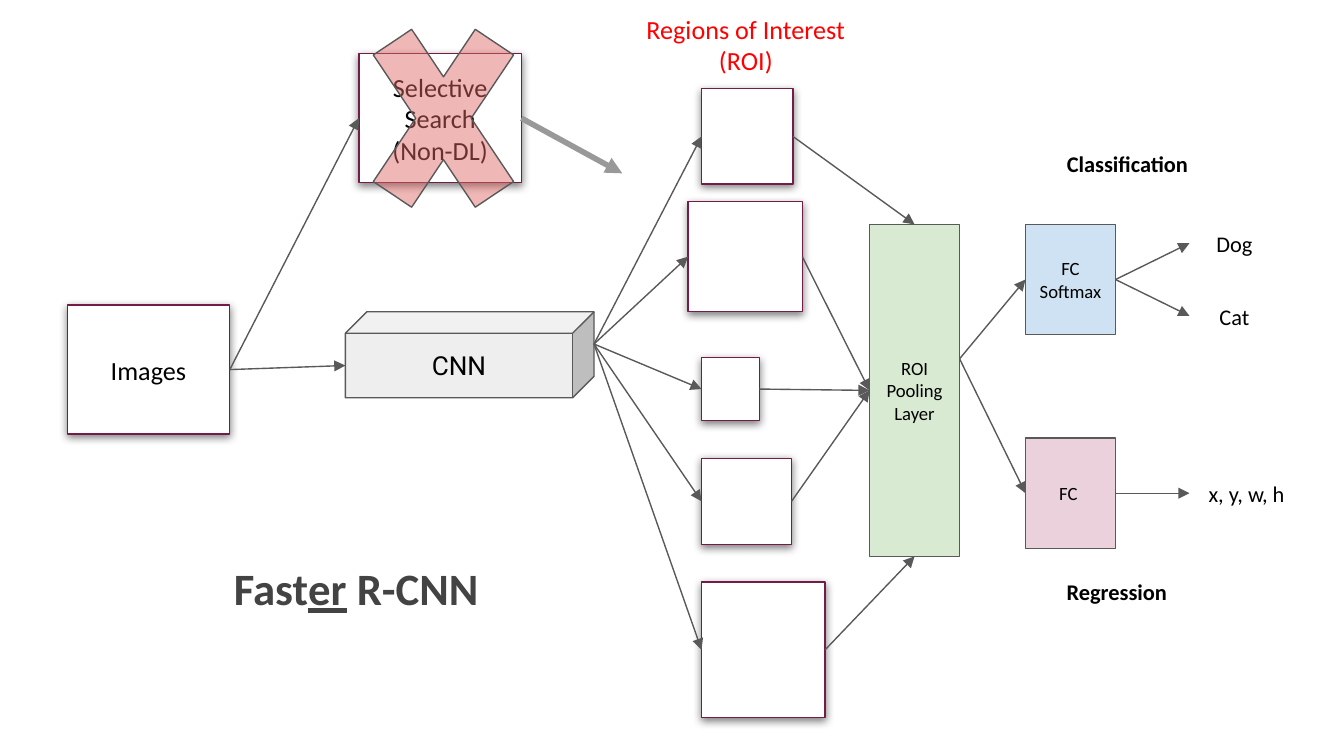
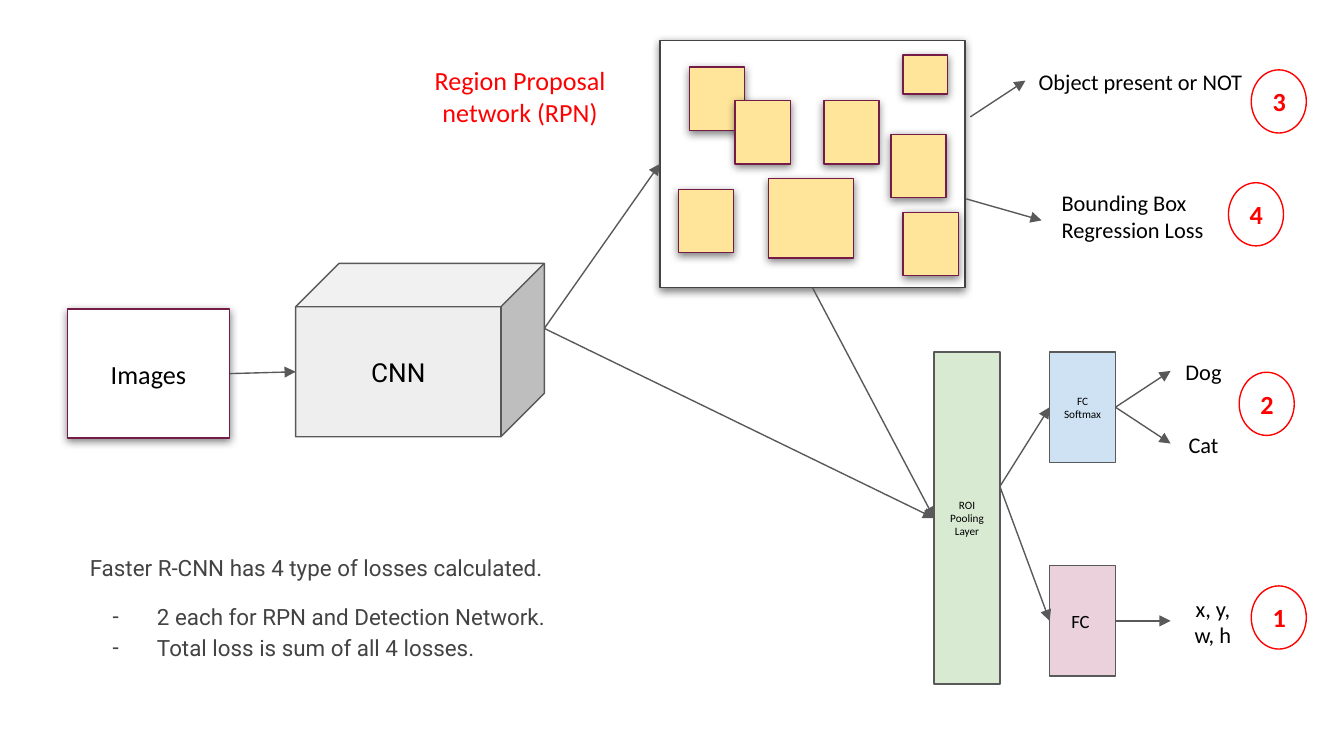
from dataclasses import dataclass, replace
from typing import Optional

from lxml.etree import SubElement as Sub
from pptx import Presentation
from pptx.dml.color import RGBColor as Rgb
from pptx.enum.shapes import MSO_CONNECTOR as Link, MSO_SHAPE as Kind
from pptx.enum.text import MSO_ANCHOR as Anchor, PP_ALIGN as Align
from pptx.oxml.ns import qn
from pptx.shapes.autoshape import Shape
from pptx.slide import Slide
from pptx.text.text import TextFrame, _Paragraph as Para
from pptx.util import Inches, Pt

WHITE = Rgb(0xFF, 0xFF, 0xFF)
BLACK = Rgb(0x00, 0x00, 0x00)
RED = Rgb(0xFF, 0x00, 0x00)
DARK = Rgb(0x43, 0x43, 0x43)
GREY = Rgb(0x59, 0x59, 0x59)
MID = Rgb(0x99, 0x99, 0x99)
PALE = Rgb(0xEE, 0xEE, 0xEE)
PLUM = Rgb(0x74, 0x1B, 0x47)
BLUE = Rgb(0xCF, 0xE2, 0xF3)
GREEN = Rgb(0xD9, 0xEA, 0xD3)
PINK = Rgb(0xEA, 0xD1, 0xDC)
GOLD = Rgb(0xFF, 0xE5, 0x99)
ROSE = Rgb(0xE0, 0x66, 0x66)
SANS = "Calibri"
ROBOTO = "Roboto"
THIN = 0.75
DASH = "- "

Point = tuple[float, float]


@dataclass(frozen=True)
class Label:
    x: float
    y: float
    w: float
    h: float
    text: str = ""
    size: float = 12
    color: Rgb = BLACK
    bold: bool = False
    face: str = SANS
    align: Align = Align.CENTER
    anchor: Anchor = Anchor.MIDDLE

    @property
    def left(self) -> Point:
        return self.x, self.y + self.h / 2

    @property
    def right(self) -> Point:
        return self.x + self.w, self.y + self.h / 2

    @property
    def top(self) -> Point:
        return self.x + self.w / 2, self.y

    @property
    def foot(self) -> Point:
        return self.x + self.w / 2, self.y + self.h


@dataclass(frozen=True)
class Box(Label):
    size: float = 14
    kind: Kind = Kind.RECTANGLE
    fill: Optional[Rgb] = WHITE
    line: Rgb = GREY
    shade: bool = False
    adjust: Optional[float] = None
    alpha: Optional[int] = None


@dataclass(frozen=True)
class Cube(Box):
    face: str = ROBOTO
    kind: Kind = Kind.CUBE
    fill: Optional[Rgb] = PALE
    adjust: Optional[float] = 0.25

    @property
    def left(self) -> Point:
        return self.x, self.y + self.h * 5 / 8

    @property
    def right(self) -> Point:
        return self.x + self.w, self.y + self.h * 3 / 8


@dataclass(frozen=True)
class Head:
    pool: Point
    wide: float
    fc: float
    out: float
    span: float
    size: float


def add_dash(para: Para, item: Label) -> None:
    props = para._p.get_or_add_pPr()
    props.set("marL", str(Inches(0.5)))
    props.set("indent", str(Inches(-0.33)))
    color = Sub(props, qn("a:buClr"))
    Sub(color, qn("a:srgbClr"), val=str(item.color))
    Sub(props, qn("a:buFont"), typeface=item.face)
    Sub(props, qn("a:buChar"), char=DASH.strip())
    para.line_spacing = 1.15


def write(frame: TextFrame, item: Label) -> None:
    frame.word_wrap = True
    frame.vertical_anchor = item.anchor
    frame.margin_left = frame.margin_right = Inches(0.1)
    frame.margin_top = frame.margin_bottom = Inches(0.1)
    for i, line in enumerate(item.text.split("\n")):
        para = frame.paragraphs[0] if i == 0 else frame.add_paragraph()
        if line.startswith(DASH):
            add_dash(para, item)
        if line:
            para.add_run().text = line.removeprefix(DASH)
        para.alignment = item.align
        font = para.font
        font.name = item.face
        font.size = Pt(item.size)
        font.bold = item.bold
        font.color.rgb = item.color


def put_label(slide: Slide, item: Label) -> TextFrame:
    area = map(Inches, (item.x, item.y, item.w, item.h))
    frame = slide.shapes.add_textbox(*area).text_frame
    write(frame, item)
    return frame


def cast_shade(shape: Shape) -> None:
    effects = shape._element.spPr.find(qn("a:effectLst"))
    shade = Sub(effects, qn("a:outerShdw"), blurRad=str(Pt(4.5)),
                dist=str(Pt(1.5)), dir="5400000", algn="bl", rotWithShape="0")
    color = Sub(shade, qn("a:srgbClr"), val=str(BLACK))
    Sub(color, qn("a:alpha"), val="50000")


def put_box(slide: Slide, box: Box) -> None:
    area = map(Inches, (box.x, box.y, box.w, box.h))
    shape = slide.shapes.add_shape(box.kind, *area)
    shape.shadow.inherit = False
    if box.adjust is not None:
        shape.adjustments[0] = box.adjust
    if box.fill is None:
        shape.fill.background()
    else:
        shape.fill.solid()
        shape.fill.fore_color.rgb = box.fill
    if box.alpha is not None:
        color = shape._element.spPr.find(qn("a:solidFill")).find(qn("a:srgbClr"))
        Sub(color, qn("a:alpha"), val=str(box.alpha * 1000))
    shape.line.color.rgb = box.line
    shape.line.width = Pt(THIN)
    if box.shade:
        cast_shade(shape)
    if box.text:
        write(shape.text_frame, box)


def put_arrow(slide: Slide, start: Point, end: Point,
              color: Rgb = GREY, width: float = THIN) -> None:
    ends = map(Inches, (*start, *end))
    link = slide.shapes.add_connector(Link.STRAIGHT, *ends)
    link.line.color.rgb = color
    link.line.width = Pt(width)
    props = link._element.spPr
    Sub(props.find(qn("a:ln")), qn("a:tailEnd"), type="triangle")
    Sub(props, qn("a:effectLst"))


def put_head(slide: Slide, head: Head) -> Box:
    x, y = head.pool
    pool = Box(x, y, head.wide, 2.47, "ROI\nPooling\nLayer", head.size, fill=GREEN)
    soft = Box(head.fc, y, head.wide, 0.82, "FC Softmax", head.size, fill=BLUE)
    coords = replace(soft, y=y + 1.59, text="FC ", size=10, fill=PINK)
    for box in (pool, soft, coords):
        put_box(slide, box)
        if box is not pool:
            put_arrow(slide, (x + head.wide, y + 1), box.left)
    for source, text, drop, span, aim in (
        (soft, "Dog", 0, head.wide, 0.14),
        (soft, "Cat", 0.54, head.wide, 0.68),
        (coords, "x, y, w, h", 1.86, head.span, 2),
    ):
        put_label(slide, Label(head.out, y + drop, span, 0.29, text))
        put_arrow(slide, source.right, (head.out, y + aim))
    return pool


def draw_faster(slide: Slide) -> None:
    images = Box(0.5, 2.27, 1.21, 0.96, "Images", line=PLUM, shade=True)
    search = replace(images, x=2.67, y=0.4, text="Selective Search\n(Non-DL)")
    cnn = Cube(2.57, 2.32, 1.85, 0.64, "CNN")
    for box in (images, search, cnn):
        put_box(slide, box)
        if box is not images:
            put_arrow(slide, images.right, box.left)
    pool = put_head(slide, Head((6.47, 1.67), 0.67, 7.63, 8.85, 0.85, 10))
    for area, goal in (
        ((5.22, 0.66, 0.68, 0.71), pool.top),
        ((5.12, 1.5, 0.85, 0.82), pool.left),
        ((5.22, 2.66, 0.43, 0.47), pool.left),
        ((5.22, 3.41, 0.67, 0.64), pool.left),
        ((5.22, 4.33, 0.92, 1.01), pool.foot),
    ):
        region = Box(*area, line=PLUM, shade=True)
        put_box(slide, region)
        put_arrow(slide, cnn.right, region.left)
        put_arrow(slide, region.right, goal)
    put_label(slide, Label(4.71, 0, 1.68, 0.71, "Regions of Interest (ROI)",
                           14, RED, anchor=Anchor.TOP))
    put_label(slide, Label(7.76, 1.07, 1.26, 0.29, "Classification", bold=True))
    put_label(slide, Label(7.68, 4.26, 1.26, 0.29, "Regression", bold=True))
    title = put_label(slide, Label(0.48, 4.14, 4.34, 0.47, "", 24, DARK, True))
    for part in ("Fast", "er", " R-CNN"):
        run = title.paragraphs[0].add_run()
        run.text = part
        run.font.underline = part == "er"
    put_arrow(slide, search.right, (4.63, 1.29), MID, 3)
    put_box(slide, Box(2.57, -0.21, 1.46, 2.18, kind=Kind.MATH_MULTIPLY,
                       fill=ROSE, adjust=0.235, alpha=47))


def draw_losses(slide: Slide) -> None:
    images = Box(0.5, 2.3, 1.21, 0.96, "Images", line=PLUM, shade=True)
    cnn = Cube(2.2, 1.96, 1.85, 1.29, "CNN")
    sheet = Box(4.91, 0.3, 2.27, 1.84, line=DARK, shade=True)
    for box in (images, cnn, sheet):
        put_box(slide, box)
    pool = put_head(slide, Head((6.95, 2.62), 0.49, 7.81, 8.71, 0.63, 6))
    small = 0.41, 0.47
    for x, y, w, h in (
        (5.13, 0.5, *small),
        (5.72, 1.33, 0.63, 0.59),
        (5.47, 0.75, *small),
        (6.72, 0.41, 0.33, 0.29),
        (6.72, 1.58, *small),
        (5.05, 1.41, *small),
        (6.13, 0.75, *small),
        (6.63, 1, *small),
    ):
        put_box(slide, Box(x, y, w, h, fill=GOLD, line=PLUM, shade=True))
    for start, end in (
        (images.right, cnn.left),
        (cnn.right, sheet.left),
        (cnn.right, pool.left),
        (sheet.foot, pool.left),
        ((7.22, 0.87), (7.63, 0.6)),
        ((7.19, 1.48), (7.75, 1.64)),
    ):
        put_arrow(slide, start, end)
    put_label(slide, Label(3.03, 0.38, 1.68, 0.71, "Region Proposal network (RPN)",
                           14, RED, anchor=Anchor.TOP))
    put_label(slide, Label(7.63, 0.46, 1.85, 0.29, "Object present or NOT",
                           align=Align.LEFT))
    put_label(slide, Label(7.8, 1.46, 1.41, 0.29, "Bounding Box Regression Loss",
                           align=Align.LEFT))
    for mark, x, y in (("3", 9.31, 0.52), ("4", 9.14, 1.36),
                       ("1", 9.31, 4.36), ("2", 9.22, 2.77)):
        put_box(slide, Box(x, y, *small, mark, color=RED, bold=True,
                           kind=Kind.OVAL, fill=None, line=RED))
    text = ("Faster R-CNN has 4 type of losses calculated.\n"
            "- 2 each for RPN and Detection Network.\n"
            "- Total loss is sum of all 4 losses.")
    notes = put_label(slide, Label(0.57, 3.81, 4.34, 1.42, text, 12, DARK,
                                   face=ROBOTO, align=Align.LEFT))
    notes.paragraphs[1].space_before = Pt(10)


def main() -> None:
    deck = Presentation()
    deck.slide_width = Inches(10)
    deck.slide_height = Inches(10 * 9 / 16)
    for draw in (draw_faster, draw_losses):
        draw(deck.slides.add_slide(deck.slide_layouts[6]))
    deck.save("out.pptx")


if __name__ == "__main__":
    main()
